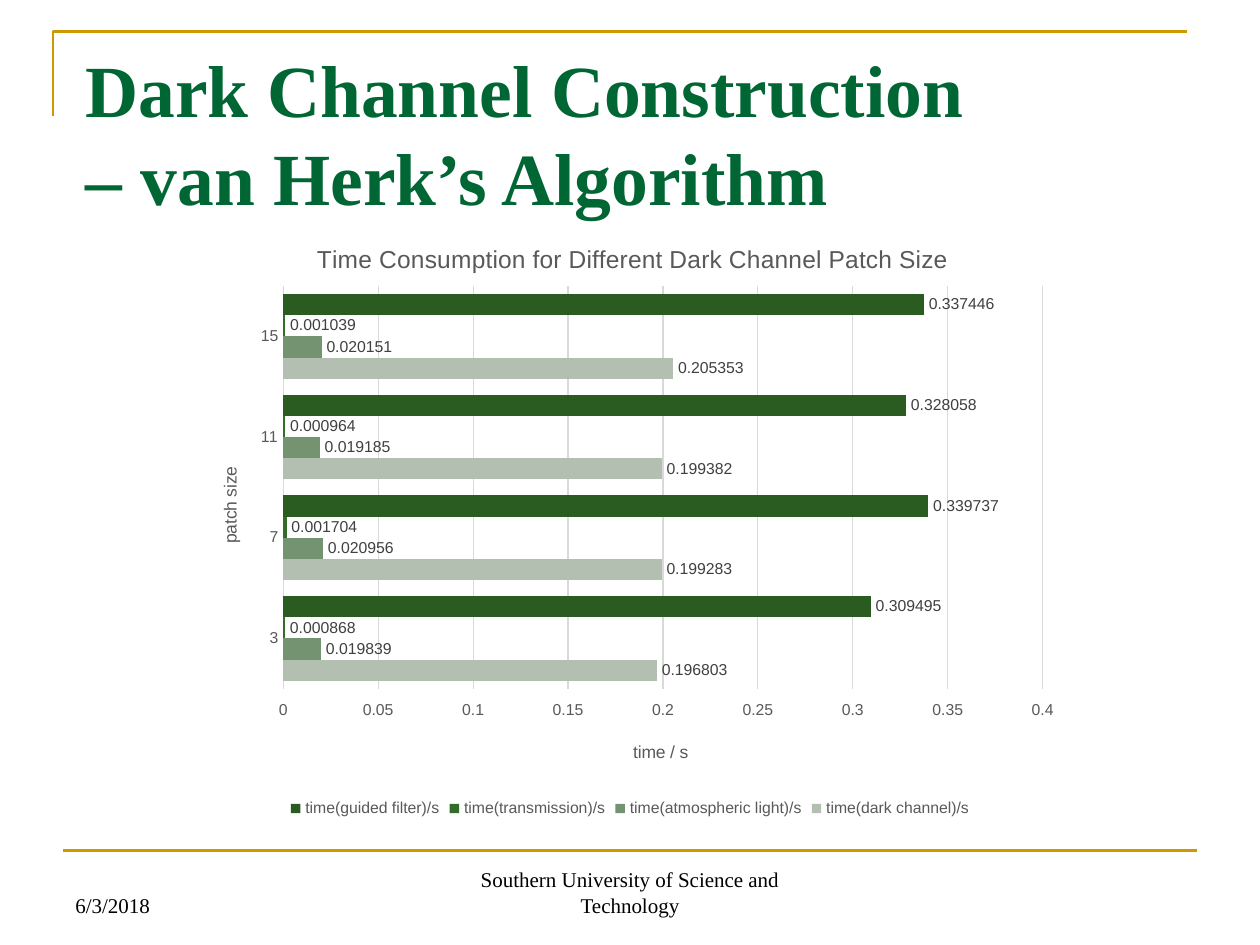
from lxml import etree
from pptx import Presentation
from pptx.chart.data import CategoryChartData as ChartData
from pptx.dml.color import RGBColor
from pptx.enum.chart import (XL_CHART_TYPE as Kind, XL_LABEL_POSITION as Spot,
                             XL_LEGEND_POSITION as Side, XL_TICK_MARK as Tick)
from pptx.enum.shapes import MSO_CONNECTOR as Wire
from pptx.enum.text import MSO_ANCHOR as Anchor, MSO_AUTO_SIZE as Fit, PP_ALIGN as Align
from pptx.oxml.ns import qn
from pptx.util import Inches, Pt

GOLD = RGBColor(0xCC, 0x99, 0x00)
GREEN = RGBColor(0x00, 0x66, 0x33)
BLACK = RGBColor(0x00, 0x00, 0x00)
GRAY = RGBColor(0x59, 0x59, 0x59)
DARK = RGBColor(0x40, 0x40, 0x40)
PALE = RGBColor(0xD9, 0xD9, 0xD9)
SERIF, SANS = "Times New Roman", "Arial"


def style(font, size, color, name):
    font.size, font.name, font.bold = Pt(size), name, False
    font.color.rgb = color


def place(node, index, **spots):
    """Give a chart part a manual layout, in fractions of the chart."""
    for old in node.findall(qn("c:layout")):
        node.remove(old)
    layout = etree.Element(qn("c:layout"))
    manual = etree.SubElement(layout, qn("c:manualLayout"))
    if "w" in spots:
        etree.SubElement(manual, qn("c:layoutTarget")).set("val", "inner")
    for key in "xy":
        etree.SubElement(manual, qn(f"c:{key}Mode")).set("val", "edge")
    for key, val in spots.items():
        etree.SubElement(manual, qn(f"c:{key}")).set("val", str(val))
    node.insert(index, layout)


prs = Presentation()
prs.slide_width, prs.slide_height = Inches(10), Inches(7.5)
slide = prs.slides.add_slide(prs.slide_layouts[5])
shapes = slide.shapes

# Gold rules
pen = shapes.build_freeform(Inches(0.42), Inches(0.92))
pen.add_line_segments([(Inches(0.42), Inches(0.25)), (Inches(9.42), Inches(0.25))], close=False)
frame = pen.convert_to_shape()
frame.shadow.inherit = False
frame.fill.background()
rule = shapes.add_connector(Wire.STRAIGHT, Inches(0.5), Inches(6.75), Inches(9.5), Inches(6.75))
etree.SubElement(rule._element.spPr, qn("a:effectLst"))
for item in (frame, rule):
    item.line.color.rgb = GOLD
    item.line.width = Pt(1.5)

# Title
title = shapes.title
title.left, title.top, title.width, title.height = map(Inches, (0.58, 0.76, 9, 1.25))
box = title.text_frame
box.auto_size, box.vertical_anchor = Fit.NONE, Anchor.MIDDLE
box.margin_bottom = Inches(0.72)
par = box.paragraphs[0]
par.alignment, par.line_spacing = Align.LEFT, Pt(50)
for i, text in enumerate(("Dark Channel Construction", "– van Herk’s Algorithm")):
    if i:
        par.add_line_break()
    run = par.add_run()
    run.text = text
    style(run.font, 42, GREEN, SERIF)
    run.font.bold = True

# Chart
data = ChartData()
data.categories = ["3", "7", "11", "15"]
rows = (
    ("dark channel", (0.196803, 0.199283, 0.199382, 0.205353), "B2BFB1"),
    ("atmospheric light", (0.019839, 0.020956, 0.019185, 0.020151), "749371"),
    ("transmission", (0.000868, 0.001704, 0.000964, 0.001039), "326D27"),
    ("guided filter", (0.309495, 0.339737, 0.328058, 0.337446), "2A5C21"),
)
for name, vals, _ in rows:
    data.add_series(f"time({name})/s", vals)
chart = shapes.add_chart(Kind.BAR_CLUSTERED, Inches(1.5), Inches(1.7),
                         Inches(7), Inches(4.83), data).chart
style(chart.font, 10, BLACK, SANS)
plot = chart.plots[0]
plot.gap_width, plot.overlap, plot.vary_by_categories = 75, 0, False
for bars, (_, _, color) in zip(plot.series, rows):
    bars.format.fill.solid()
    bars.format.fill.fore_color.rgb = RGBColor.from_string(color)
    labels = bars.data_labels
    labels.show_value, labels.position = True, Spot.OUTSIDE_END
    style(labels.font, 9, DARK, SANS)

cat, val = chart.category_axis, chart.value_axis
for axis in (cat, val):
    style(axis.tick_labels.font, 9, GRAY, SANS)
cat.major_tick_mark = Tick.NONE
cat.format.line.color.rgb = PALE
cat.format.line.width = Pt(0.75)
val.major_tick_mark = Tick.OUTSIDE
val.minimum_scale, val.maximum_scale, val.major_unit = 0, 0.4, 0.05
val.format.line.fill.background()
val.major_gridlines.format.line.color.rgb = PALE
val.major_gridlines.format.line.width = Pt(0.75)

chart.has_title = True
heads = (
    (chart.chart_title, "Time Consumption for Different Dark Channel Patch Size", 14, 0.14, 0.04),
    (cat.axis_title, "patch size", 10, 0.03, 0.41),
    (val.axis_title, "time / s", 10, 0.5, 0.86),
)
for head, text, size, x, y in heads:
    run = head.text_frame.paragraphs[0].add_run()
    run.text = text
    style(run.font, size, GRAY, SANS)
    place(head._element, 1, x=x, y=y)
cat.axis_title._element.find(".//" + qn("a:bodyPr")).set("rot", "-5400000")
place(chart._chartSpace.chart.plotArea, 0, x=0.107, y=0.118, w=0.861, h=0.662)

chart.has_legend = True
chart.legend.position, chart.legend.include_in_layout = Side.BOTTOM, False
style(chart.legend.font, 9, GRAY, SANS)

# Date and footer
for left, width, align, text in (
    (0.5, 2.33, Align.LEFT, "6/3/2018"),
    (3.34, 3.32, Align.CENTER, "Southern University of Science and Technology"),
):
    box = shapes.add_textbox(Inches(left), Inches(6.83), Inches(width), Inches(0.5)).text_frame
    box.word_wrap, box.vertical_anchor = True, Anchor.BOTTOM
    par = box.paragraphs[0]
    par.alignment = align
    run = par.add_run()
    run.text = text
    style(run.font, 12, BLACK, SERIF)

prs.save("out.pptx")
